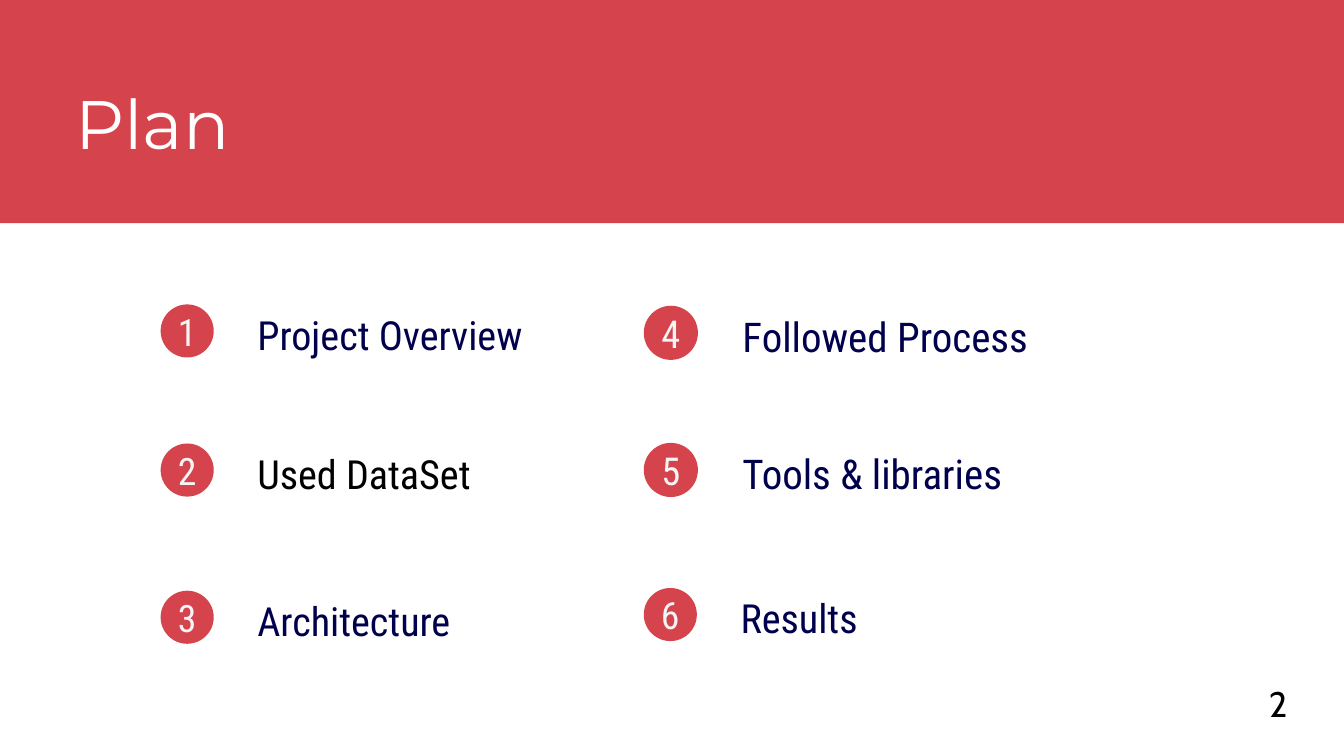
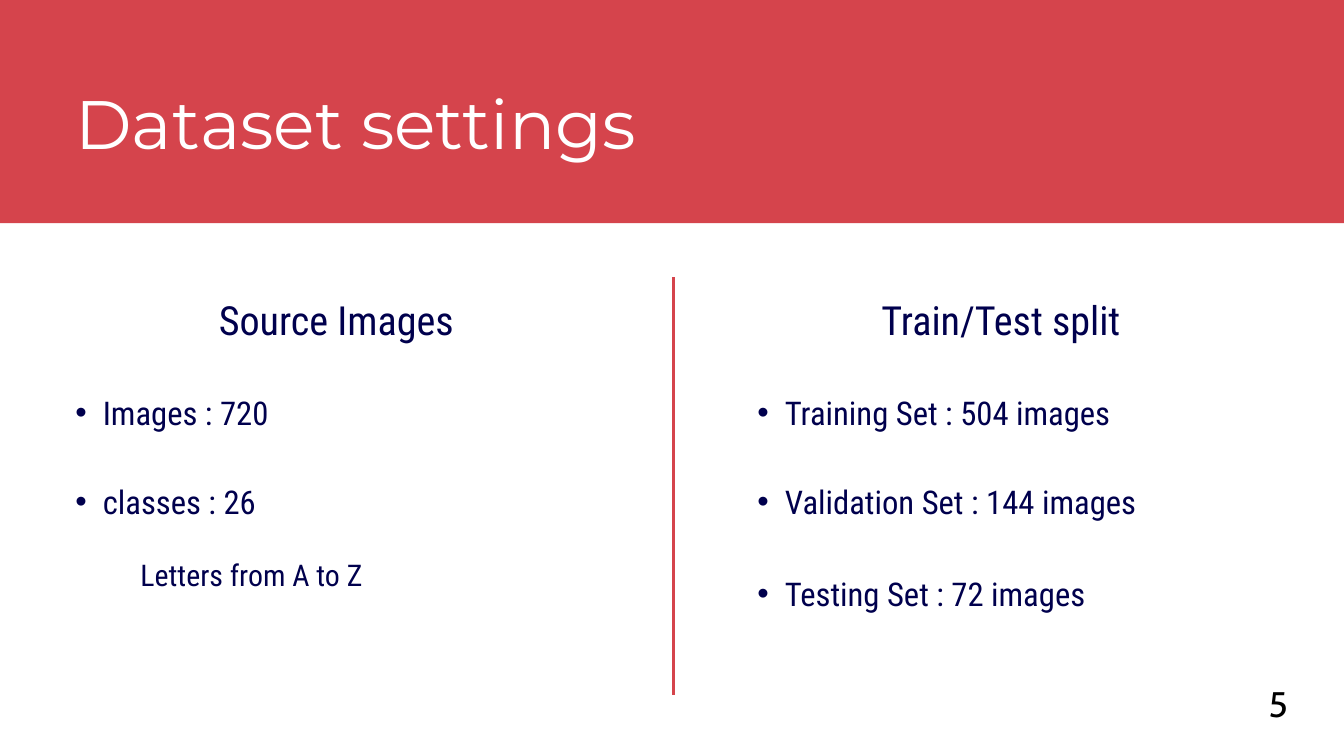
"""Build the plan and dataset settings slides of an image classification talk."""
from dataclasses import dataclass, field, replace
from typing import NamedTuple, Optional

from lxml import etree
from pptx import Presentation
from pptx.dml.color import RGBColor
from pptx.enum.shapes import MSO_CONNECTOR as Connector, MSO_SHAPE as Preset
from pptx.enum.text import MSO_ANCHOR as Anchor, MSO_AUTO_SIZE as AutoSize, PP_ALIGN as Align
from pptx.oxml.ns import qn
from pptx.shapes.autoshape import Shape
from pptx.slide import Slide
from pptx.text.text import TextFrame, _Paragraph as Paragraph
from pptx.util import Inches, Pt

RED = RGBColor(0xD5, 0x44, 0x4C)
NAVY = RGBColor(0x00, 0x00, 0x4D)
BLACK = RGBColor(0x00, 0x00, 0x00)
WHITE = RGBColor(0xFF, 0xFF, 0xFF)
PALE = RGBColor(0xF5, 0xF5, 0xF5)


@dataclass(frozen=True)
class TextStyle:
    """Type settings of one text role; sizes and leading are in points."""
    size: float
    leading: Optional[float] = None
    color: RGBColor = NAVY
    font: str = "Roboto Condensed"
    align: Align = Align.LEFT

    def scaled(self, scale: float) -> "TextStyle":
        """Return the style enlarged by the given factor."""
        leading = self.leading and round(self.leading * scale, 1)
        return replace(self, size=round(self.size * scale, 1), leading=leading)


@dataclass(frozen=True)
class Theme:
    """Colours and text roles shared by the slides."""
    accent: RGBColor = RED
    title: TextStyle = TextStyle(73.4, 102.8, WHITE, "Montserrat")
    page: TextStyle = TextStyle(38, 53.2, BLACK, "Cabin", Align.CENTER)
    topic: TextStyle = TextStyle(43, 85.9)
    badge: TextStyle = TextStyle(40.4, color=PALE, align=Align.CENTER)
    heading: TextStyle = TextStyle(43, 85.9, align=Align.CENTER)
    bullet: TextStyle = TextStyle(35, 55.3, align=Align.JUSTIFY)
    detail: TextStyle = TextStyle(32, 50.6)
    frame: dict = field(default_factory=lambda: {
        "margin_left": 0, "margin_top": 0, "margin_right": 0, "margin_bottom": 0,
        "word_wrap": True, "auto_size": AutoSize.NONE, "vertical_anchor": Anchor.TOP,
    })


THEME = Theme()


class Box(NamedTuple):
    """A rectangle in inches."""
    left: float
    top: float
    width: float
    height: float


class Topic(NamedTuple):
    """One numbered entry of the plan."""
    label: str
    left: float
    top: float
    scale: float = 1
    color: RGBColor = NAVY


class Fact(NamedTuple):
    """One line of a dataset list, with the gap above it in points."""
    text: str
    gap: float = 0
    bulleted: bool = True


class Panel(NamedTuple):
    """A heading with its list of facts."""
    heading: str
    heading_left: float
    list_left: float
    facts: list[Fact]


TOPICS = [
    Topic("Project Overview", 2.39, 4.53),
    Topic("Used DataSet", 2.39, 6.6, color=BLACK),
    Topic("Architecture", 2.39, 8.79),
    Topic("Followed Process", 9.58, 4.55, 1.02),
    Topic("Tools & libraries", 9.58, 6.59, 1.02),
    Topic("Results", 9.58, 8.75),
]

PANELS = [
    Panel("Source Images", 1.29, 0.7, [
        Fact("Images : 720"),
        Fact("classes : 26", 39.7),
        Fact("Letters from A to Z", 26, bulleted=False),
    ]),
    Panel("Train/Test split", 11.18, 10.85, [
        Fact("Training Set : 504 images"),
        Fact("Validation Set : 144 images", 39.7),
        Fact("Testing Set : 72 images", 43.3),
    ]),
]


def apply(target: object, values: dict) -> None:
    """Set every named attribute on the target."""
    for name, value in values.items():
        setattr(target, name, value)


def inches(box: Box) -> list[int]:
    """Convert a box to lengths."""
    return [Inches(length) for length in box]


def place(holder: Shape, box: Box) -> TextFrame:
    """Move a shape to a box and return its plainly formatted text frame."""
    apply(holder, dict(zip(("left", "top", "width", "height"), inches(box))))
    apply(holder.text_frame, THEME.frame)
    return holder.text_frame


def write(paragraph: Paragraph, text: str, style: TextStyle, gap: float = 0) -> None:
    """Write one paragraph in a style."""
    apply(paragraph, {
        "alignment": style.align,
        "line_spacing": Pt(style.leading) if style.leading else 1.0,
        "space_before": Pt(gap),
        "space_after": Pt(0),
    })
    run = paragraph.add_run()
    run.text = text
    apply(run.font, {"name": style.font, "size": Pt(style.size), "bold": False})
    run.font.color.rgb = style.color


def add_label(slide: Slide, box: Box, text: str, style: TextStyle) -> None:
    """Add a text box with one line."""
    label = slide.shapes.add_textbox(*inches(box))
    write(place(label, box).paragraphs[0], text, style)


def add_filled(slide: Slide, preset: Preset, box: Box) -> Shape:
    """Add a shape in the accent colour without outline or shadow."""
    filled = slide.shapes.add_shape(preset, *inches(box))
    filled.shadow.inherit = False
    filled.fill.solid()
    filled.fill.fore_color.rgb = THEME.accent
    filled.line.fill.background()
    return filled


def set_bullet(paragraph: Paragraph, left: float, hanging: float, mark: Optional[str]) -> None:
    """Set the indents and the bullet mark of a paragraph."""
    properties = paragraph._p.get_or_add_pPr()
    properties.set("marL", str(Inches(left)))
    properties.set("indent", str(-Inches(hanging)))
    bullet = etree.SubElement(properties, qn("a:buChar" if mark else "a:buNone"))
    if mark:
        bullet.set("char", mark)


def start_slide(deck: Presentation, layout: int, title: str, page: int) -> Slide:
    """Add a slide with the title band, title and page number."""
    slide = deck.slides.add_slide(deck.slide_layouts[layout])
    band = add_filled(slide, Preset.RECTANGLE, Box(0, 0, 20, 3.32))
    band.element.getparent().insert(2, band.element)
    heading = place(slide.shapes.title, Box(1.12, 1, 17.76, 1.36))
    write(heading.paragraphs[0], title, THEME.title)
    add_label(slide, Box(18.62, 10.04, 0.8, 0.75), str(page), THEME.page)
    return slide


def add_topic(slide: Slide, number: int, topic: Topic) -> None:
    """Add a numbered badge and its label."""
    scale = topic.scale
    size = 0.79 * scale
    badge_box = Box(topic.left, topic.top, size, size)
    badge = add_filled(slide, Preset.OVAL, badge_box)
    numeral = place(badge, badge_box)
    apply(numeral, {"vertical_anchor": Anchor.MIDDLE, "word_wrap": False})
    write(numeral.paragraphs[0], str(number), THEME.badge.scaled(scale))
    label_box = Box(topic.left + 1.44 * scale, topic.top - 0.39 * scale, 5.2, 1.2 * scale)
    style = replace(THEME.topic.scaled(scale), color=topic.color)
    add_label(slide, label_box, topic.label, style)


def fill_panel(heading: Shape, listing: Shape, panel: Panel) -> None:
    """Fill a heading and a list placeholder from a panel."""
    heading_frame = place(heading, Box(panel.heading_left, 3.92, 7.43, 1.2))
    write(heading_frame.paragraphs[0], panel.heading, THEME.heading)
    facts = place(listing, Box(panel.list_left, 5.66, 8.76, 3.6))
    for index, fact in enumerate(panel.facts):
        line = facts.add_paragraph() if index else facts.paragraphs[0]
        if fact.bulleted:
            set_bullet(line, 0.83, 0.41, "•")
            write(line, fact.text, THEME.bullet, fact.gap)
        else:
            set_bullet(line, 1.39, 0, None)
            write(line, fact.text, THEME.detail, fact.gap)


def add_divider(slide: Slide) -> None:
    """Add the vertical rule between the panels."""
    x = Inches(10.02)
    divider = slide.shapes.add_connector(Connector.STRAIGHT, x, Inches(10.34), x, Inches(4.12))
    divider.line.color.rgb = THEME.accent
    divider.line.width = Pt(3)
    etree.SubElement(divider.element.spPr, qn("a:effectLst"))


def build_plan(deck: Presentation) -> None:
    """Build the plan slide."""
    slide = start_slide(deck, 5, "Plan", 2)
    for number, topic in enumerate(TOPICS, start=1):
        add_topic(slide, number, topic)


def build_dataset(deck: Presentation) -> None:
    """Build the dataset settings slide."""
    slide = start_slide(deck, 4, "Dataset settings", 5)
    add_divider(slide)
    _, *holders = slide.placeholders
    for heading, listing, panel in zip(holders[::2], holders[1::2], PANELS):
        fill_panel(heading, listing, panel)


def main() -> None:
    """Build and save the deck."""
    deck = Presentation()
    apply(deck, {"slide_width": Inches(20), "slide_height": Inches(11.25)})
    build_plan(deck)
    build_dataset(deck)
    deck.save("out.pptx")


if __name__ == "__main__":
    main()
